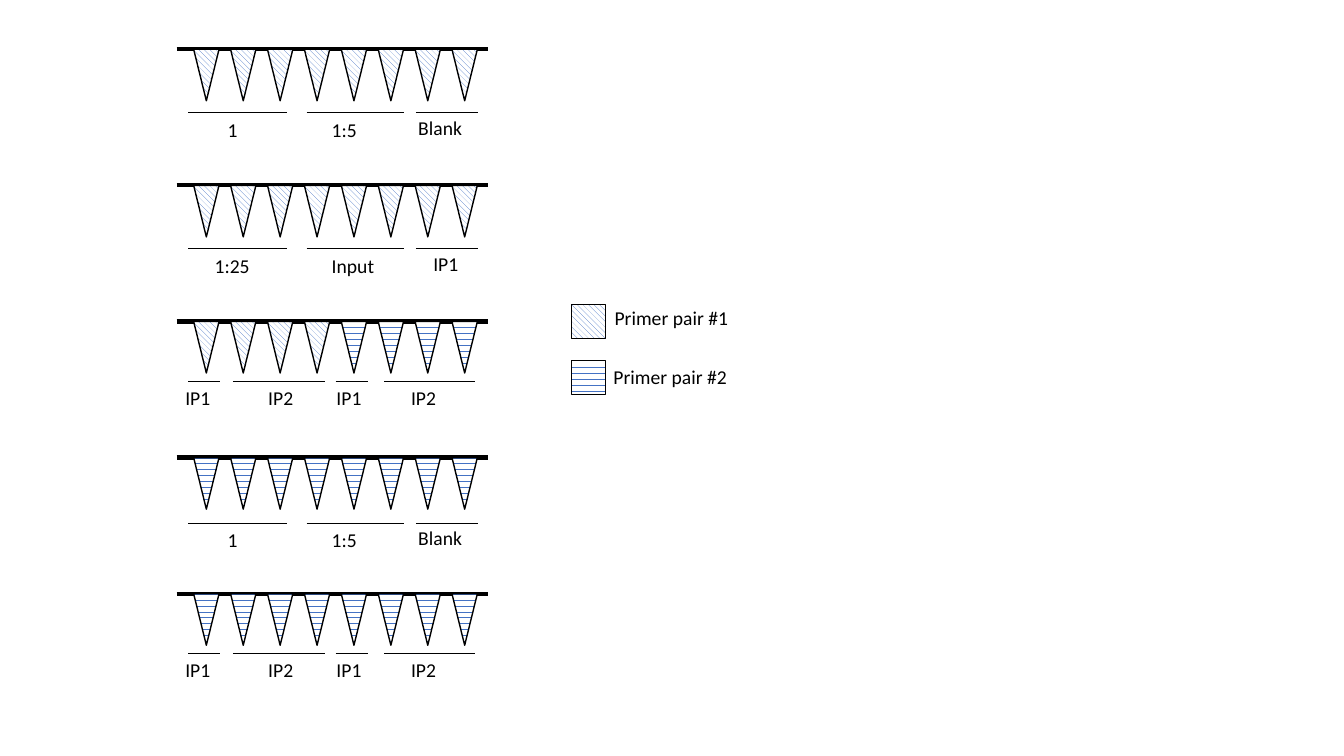
import pptx
import pptx.util
import pptx.dml.color
import pptx.enum.dml
import pptx.enum.shapes
import pptx.enum.text
import pptx.oxml.ns
from lxml import etree

Cm = pptx.util.Cm
Pt = pptx.util.Pt
SHAPE = pptx.enum.shapes.MSO_SHAPE
PATTERN = pptx.enum.dml.MSO_PATTERN

BLACK = pptx.dml.color.RGBColor(0x00, 0x00, 0x00)
WHITE = pptx.dml.color.RGBColor(0xFF, 0xFF, 0xFF)
BLUE = pptx.dml.color.RGBColor(0x44, 0x72, 0xC4)

PRIMER_1 = PATTERN.WIDE_DOWNWARD_DIAGONAL
PRIMER_2 = PATTERN.DASHED_HORIZONTAL

STRIP_LEFT, STRIP_TOP = 4.45, 1.24
STRIP_WIDTH, STRIP_PITCH = 7.85, 3.43
TUBE_WIDTH, TUBE_HEIGHT = 0.64, 1.3
TUBE_INDENT, TUBE_PITCH = 0.43, 0.93
LABEL_HEIGHT = 0.86
LABEL_WIDTHS = {"1": 0.76, "1:5": 1.14, "1:25": 1.4, "Input": 1.6, "Blank": 1.63,
                "IP1": 1.14, "IP2": 1.14, "Primer pair #1": 3.4, "Primer pair #2": 3.4}

TRIPLE_SPANS = [(0.3, 2.79), (3.28, 5.74), (6.03, 7.6)]
IP_SPANS = [(0.3, 1.09), (1.42, 3.73), (4.01, 4.83), (5.23, 7.52)]
DILUTION_LABELS = [("1", 1.04, 0), ("1:5", 3.66, 0), ("Blank", 5.84, -0.05)]
INPUT_LABELS = [("1:25", 0.71, 0), ("Input", 3.66, 0), ("IP1", 6.22, -0.05)]
IP_LABELS = [("IP1", -0.03, 0), ("IP2", 2.06, 0), ("IP1", 3.78, 0), ("IP2", 5.66, 0)]

STRIPS = [
    ([PRIMER_1] * 8, 1.6, TRIPLE_SPANS, DILUTION_LABELS),
    ([PRIMER_1] * 8, 1.6, TRIPLE_SPANS, INPUT_LABELS),
    ([PRIMER_1] * 4 + [PRIMER_2] * 4, 1.5, IP_SPANS, IP_LABELS),
    ([PRIMER_2] * 8, 1.65, TRIPLE_SPANS, DILUTION_LABELS),
    ([PRIMER_2] * 8, 1.5, IP_SPANS, IP_LABELS),
]


def add_rule(shapes, left, right, top, weight):
    rule = shapes.add_connector(pptx.enum.shapes.MSO_CONNECTOR.STRAIGHT,
                                Cm(left), Cm(top), Cm(right), Cm(top))
    rule.line.color.rgb = BLACK
    rule.line.width = Pt(weight)
    etree.SubElement(rule._element.spPr, pptx.oxml.ns.qn("a:effectLst"))


def add_hatched(shapes, kind, left, top, width, height, pattern):
    shape = shapes.add_shape(kind, Cm(left), Cm(top), Cm(width), Cm(height))
    shape.shadow.inherit = False
    shape.fill.patterned()
    shape.fill.pattern = pattern
    shape.fill.fore_color.rgb = BLUE
    shape.fill.back_color.rgb = WHITE
    shape.line.color.rgb = BLACK
    shape.line.width = Pt(1)
    return shape


def add_label(page, text, left, top):
    box = page.shapes.add_textbox(Cm(left), Cm(top), Cm(LABEL_WIDTHS[text]), Cm(LABEL_HEIGHT))
    frame = box.text_frame
    frame.word_wrap = False
    frame.auto_size = pptx.enum.text.MSO_AUTO_SIZE.SHAPE_TO_FIT_TEXT
    span = frame.paragraphs[0].add_run()
    span.text = text
    span.font.name = "Calibri"
    span.font.size = Pt(14)
    span.font.color.rgb = BLACK


def add_strip(page, left, top, width, patterns, rule_drop, spans, labels):
    strip = page.shapes.add_group_shape()
    add_rule(strip.shapes, left, left + width, top, 3)
    for index, pattern in enumerate(patterns):
        tube = add_hatched(strip.shapes, SHAPE.ISOSCELES_TRIANGLE,
                           left + TUBE_INDENT + index * TUBE_PITCH, top,
                           TUBE_WIDTH, TUBE_HEIGHT, pattern)
        tube.rotation = 180
    rule_top = top + rule_drop
    for start, end in spans:
        add_rule(page.shapes, left + start, left + end, rule_top, 0.5)
    for text, indent, shift in labels:
        add_label(page, text, left + indent, rule_top + shift)


def add_legend(page, left, top, swatch, pitch):
    entries = [("Primer pair #1", PRIMER_1, 0.84, -0.08),
               ("Primer pair #2", PRIMER_2, 0.81, -0.02)]
    for index, (text, pattern, indent, shift) in enumerate(entries):
        entry_top = top + index * pitch
        add_hatched(page.shapes, SHAPE.RECTANGLE, left, entry_top, swatch, swatch, pattern)
        add_label(page, text, left + indent, entry_top + shift)


def main():
    deck = pptx.Presentation()
    deck.slide_width = Cm(33.87)
    deck.slide_height = Cm(19.05)
    page = deck.slides.add_slide(deck.slide_layouts[6])
    for index, strip in enumerate(STRIPS):
        add_strip(page, STRIP_LEFT, STRIP_TOP + index * STRIP_PITCH, STRIP_WIDTH, *strip)
    add_legend(page, 14.4, 7.67, 0.86, 1.42)
    deck.save("out.pptx")


if __name__ == "__main__":
    main()
